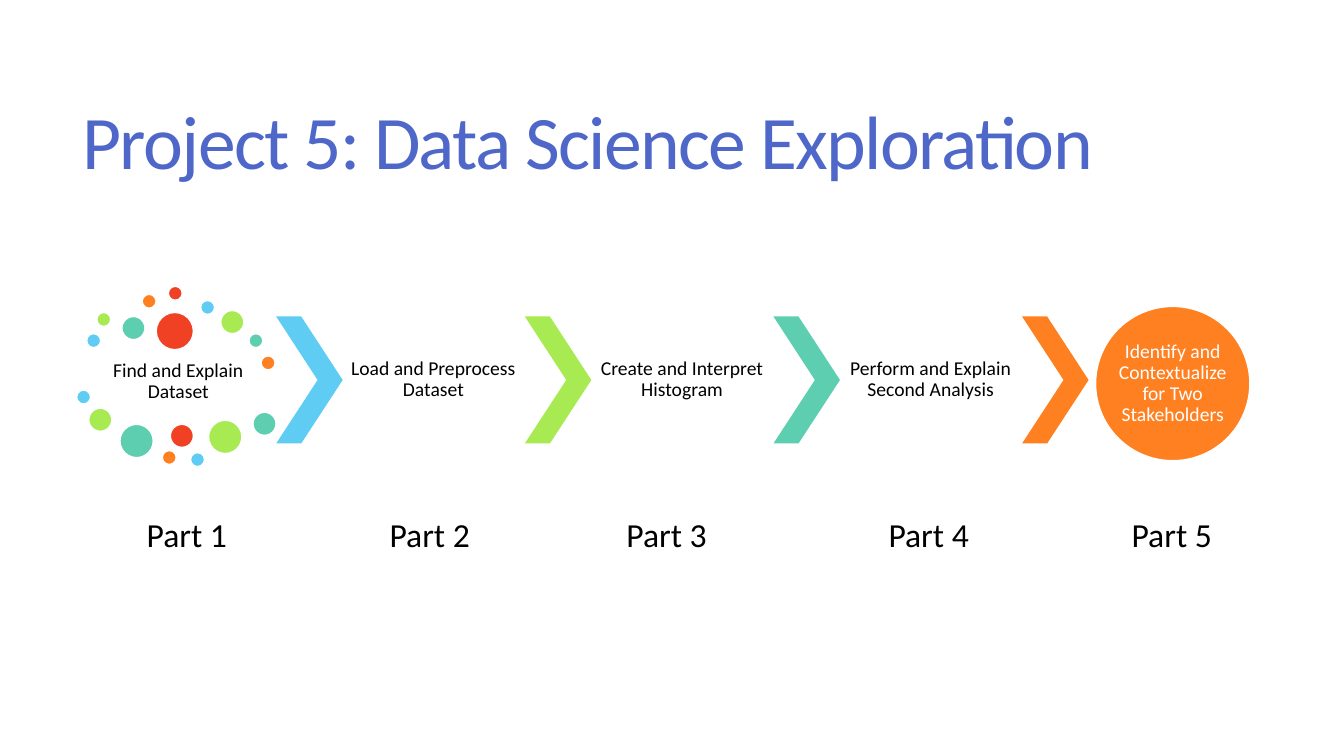
from itertools import cycle

from pptx import Presentation
from pptx.dml.color import RGBColor
from pptx.enum.shapes import MSO_SHAPE
from pptx.enum.text import MSO_ANCHOR, MSO_AUTO_SIZE, PP_ALIGN
from pptx.util import Pt

COLORS = {
    "title": "4E67C8", "text": "000000", "white": "FFFFFF",
    "blue": "5ECCF3", "green": "A7EA52", "teal": "5DCEAF",
    "orange": "FF8021", "red": "F14124",
}
DOT_COLORS = ["blue", "green", "teal", "orange", "red"]

# Dots as left, top, diameter inside the cluster's box
SMALL, MEDIUM, LARGE, LARGEST = 10, 16.5, 23.8, 26.6
DOTS = [
    (7.4, 33.8, SMALL), (14.6, 18.7, SMALL), (32.6, 21.6, MEDIUM),
    (47, 5.7, SMALL), (65.7, 0, SMALL), (88.8, 10.1, SMALL),
    (103.2, 17.3, MEDIUM), (123.3, 33.8, SMALL), (132, 49.7, SMALL),
    (57.1, 18.7, LARGEST), (0.2, 74.1, SMALL), (8.9, 87.1, MEDIUM),
    (31.2, 98.6, LARGE), (61.4, 117.3, SMALL), (67.2, 98.6, MEDIUM),
    (81.6, 118.8, SMALL), (94.5, 95.7, LARGE), (126.2, 90, MEDIUM),
]

# Each middle step follows a chevron; the last chevron leads to the circle
STEPS = [
    ("blue", "Load and Preprocess Dataset"),
    ("green", "Create and Interpret Histogram"),
    ("teal", "Perform and Explain Second Analysis"),
    ("orange", None),
]
STEP_PITCH, CHEVRON_WIDTH, STEP_TEXT_WIDTH = 177.6, 47.5, 129.6
LABEL_LEFTS = [83.5, 257, 426.2, 613.4, 787]


def rgb(name):
    return RGBColor.from_string(COLORS[name])


def write_text(shape, text, size=14, color="text", align=PP_ALIGN.CENTER,
               anchor=MSO_ANCHOR.MIDDLE, line_spacing=0.9, inset=None,
               tracking=None, auto_size=MSO_AUTO_SIZE.NONE):
    frame = shape.text_frame
    frame.word_wrap = True
    frame.auto_size = auto_size
    frame.vertical_anchor = anchor
    if inset is not None:
        frame.margin_left = frame.margin_right = Pt(inset)
        frame.margin_top = frame.margin_bottom = Pt(inset)
    paragraph = frame.paragraphs[0]
    paragraph.alignment = align
    paragraph.line_spacing = line_spacing
    run = paragraph.add_run()
    run.text = text
    run.font.name = "Calibri"
    run.font.size = Pt(size)
    run.font.color.rgb = rgb(color)
    if tracking is not None:
        run._r.get_or_add_rPr().set("spc", str(round(tracking * 100)))


def add_text(slide, box, text, **text_format):
    shape = slide.shapes.add_textbox(*map(Pt, box))
    write_text(shape, text, **text_format)


def add_filled(slide, kind, box, color, outlined=False):
    shape = slide.shapes.add_shape(kind, *map(Pt, box))
    shape.shadow.inherit = False
    shape.fill.solid()
    shape.fill.fore_color.rgb = rgb(color)
    if outlined:
        shape.line.color.rgb = rgb("white")
        shape.line.width = Pt(1)
    else:
        shape.line.fill.background()
    return shape


def add_title(slide, box):
    title = slide.shapes.title
    title.left, title.top, title.width, title.height = map(Pt, box)
    write_text(title, "Project 5: Data Science Exploration", size=54,
               color="title", align=PP_ALIGN.LEFT, line_spacing=0.85,
               tracking=-1.2)


def add_dot_cluster(slide, left, top):
    add_text(slide, (left + 8.1, top + 46.8, STEP_TEXT_WIDTH, 42.5),
             "Find and Explain Dataset", inset=1.4)
    for (x, y, diameter), color in zip(DOTS, cycle(DOT_COLORS)):
        add_filled(slide, MSO_SHAPE.OVAL,
                   (left + x, top + y, diameter, diameter), color, True)


def add_steps(slide, left, top, height):
    for index, (color, text) in enumerate(STEPS):
        x = left + index * STEP_PITCH
        chevron = add_filled(slide, MSO_SHAPE.CHEVRON,
                             (x, top, CHEVRON_WIDTH, height), color)
        chevron.adjustments[0] = 0.623
        if text:
            add_text(slide, (x + CHEVRON_WIDTH, top, STEP_TEXT_WIDTH, height),
                     text, inset=1.4)


def add_final_circle(slide, left, top, diameter):
    circle = add_filled(slide, MSO_SHAPE.OVAL,
                        (left, top, diameter, diameter), "orange", True)
    write_text(circle, "Identify and Contextualize for Two Stakeholders",
               color="white", inset=0)


def add_part_labels(slide, top, width, height):
    for number, left in enumerate(LABEL_LEFTS, start=1):
        add_text(slide, (left, top, width, height), f"Part {number}", size=24,
                 anchor=MSO_ANCHOR.TOP, line_spacing=1.0,
                 auto_size=MSO_AUTO_SIZE.SHAPE_TO_FIT_TEXT)


def main():
    presentation = Presentation()
    presentation.slide_width, presentation.slide_height = Pt(960), Pt(540)
    slide = presentation.slides.add_slide(presentation.slide_layouts[5])
    add_title(slide, (51.8, 39.6, 848.2, 130.3))
    add_dot_cluster(slide, 54.5, 204.5)
    add_steps(slide, 197.3, 226.1, 90.7)
    add_final_circle(slide, 782.6, 218.9, 110.2)
    add_part_labels(slide, 363.6, 100, 36)
    presentation.save("out.pptx")


if __name__ == "__main__":
    main()
